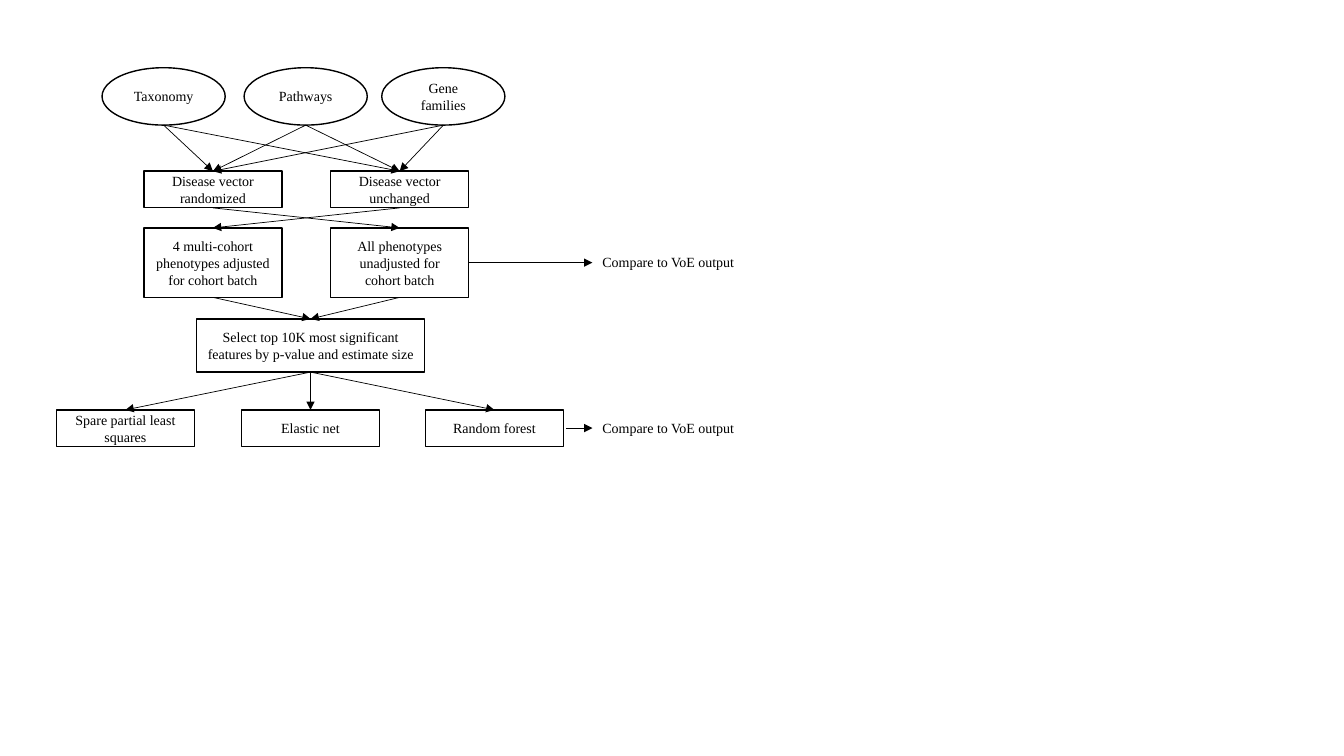
from dataclasses import dataclass
from itertools import product

from lxml.etree import SubElement
from pptx import Presentation
from pptx.dml.color import RGBColor
from pptx.enum.shapes import MSO_CONNECTOR, MSO_SHAPE
from pptx.enum.text import MSO_ANCHOR, MSO_AUTO_SIZE, PP_ALIGN
from pptx.oxml.ns import qn
from pptx.util import Pt

BLACK = "000000"
FONT = "Times New Roman"


@dataclass(frozen=True)
class Node:
    text: str
    left: float
    top: float
    width: float
    height: float
    kind: MSO_SHAPE = MSO_SHAPE.RECTANGLE

    @property
    def top_center(self) -> tuple[float, float]:
        return self.left + self.width / 2, self.top

    @property
    def bottom_center(self) -> tuple[float, float]:
        return self.left + self.width / 2, self.top + self.height


@dataclass(frozen=True)
class Note:
    text: str
    top: float
    arrow_start: float
    arrow_y: float


def color(value: str) -> RGBColor:
    return RGBColor.from_string(value)


def write(shape, text: str, *, size: float = 10, fill: str = BLACK,
          align=PP_ALIGN.CENTER, anchor=MSO_ANCHOR.MIDDLE, wrap: bool = True) -> None:
    frame = shape.text_frame
    frame.word_wrap = wrap
    frame.vertical_anchor = anchor
    paragraph = frame.paragraphs[0]
    paragraph.alignment = align
    run = paragraph.add_run()
    run.text = text
    run.font.name = FONT
    run.font.size = Pt(size)
    run.font.color.rgb = color(fill)


def draw_node(slide, node: Node) -> None:
    shape = slide.shapes.add_shape(node.kind, Pt(node.left), Pt(node.top),
                                   Pt(node.width), Pt(node.height))
    shape.shadow.inherit = False
    shape.fill.background()
    shape.line.color.rgb = color(BLACK)
    shape.line.width = Pt(1)
    write(shape, node.text)


def draw_arrow(slide, start: tuple[float, float], end: tuple[float, float]) -> None:
    arrow = slide.shapes.add_connector(MSO_CONNECTOR.STRAIGHT,
                                       *(Pt(value) for value in (*start, *end)))
    arrow.line.color.rgb = color(BLACK)
    arrow.line.width = Pt(0.5)
    properties = arrow._element.spPr
    SubElement(properties.get_or_add_ln(), qn("a:tailEnd"), type="triangle")
    SubElement(properties, qn("a:effectLst"))


def draw_note(slide, note: Note) -> None:
    box = slide.shapes.add_textbox(Pt(NOTE_LEFT), Pt(note.top), Pt(113.8), Pt(19.4))
    write(box, note.text, align=PP_ALIGN.LEFT, anchor=MSO_ANCHOR.TOP, wrap=False)
    box.text_frame.auto_size = MSO_AUTO_SIZE.SHAPE_TO_FIT_TEXT
    draw_arrow(slide, (note.arrow_start, note.arrow_y), (NOTE_LEFT, note.arrow_y))


def row(texts, lefts, top: float, width: float, height: float,
        kind=MSO_SHAPE.RECTANGLE) -> list[Node]:
    return [Node(text, left, top, width, height, kind)
            for text, left in zip(texts, lefts)]


# Rows of the flow chart
BOX_WIDTH = 98.6
PAIR_LEFTS = (102.8, 236.2)
NOTE_LEFT = 423.2

inputs = row(("Taxonomy", "Pathways", "Gene families"),
             (72.9, 174.4, 272.7), 48.4, 88, 41, MSO_SHAPE.OVAL)
vectors = row(("Disease vector randomized", "Disease vector unchanged"),
              PAIR_LEFTS, 122.3, BOX_WIDTH, 26.2)
phenotypes = row(("4 multi-cohort phenotypes adjusted for cohort batch",
                  "All phenotypes unadjusted for cohort batch"),
                 PAIR_LEFTS, 162.8, BOX_WIDTH, 49.6)
selection = row(("Select top 10K most significant features by p-value and estimate size",),
                (140.4,), 227.8, 162.9, 38)
models = row(("Spare partial least squares", "Elastic net", "Random forest"),
             (40.3, 172.5, 303.9), 292.8, BOX_WIDTH, 26)

notes = [Note("Compare to VoE output", 177.8, 334.8, 187.6),
         Note("Compare to VoE output", 295.9, 404.4, 305.8)]

links = [*product(inputs, vectors),
         *zip(vectors, reversed(phenotypes)),
         *product(phenotypes, selection),
         *product(selection, models)]

presentation = Presentation()
presentation.slide_width = Pt(960)
presentation.slide_height = Pt(540)
slide = presentation.slides.add_slide(presentation.slide_layouts[6])

# Nodes, then the arrows between them, then the side notes
for node in [*inputs, *vectors, *phenotypes, *selection, *models]:
    draw_node(slide, node)
for source, target in links:
    draw_arrow(slide, source.bottom_center, target.top_center)
for note in notes:
    draw_note(slide, note)

presentation.save("out.pptx")
